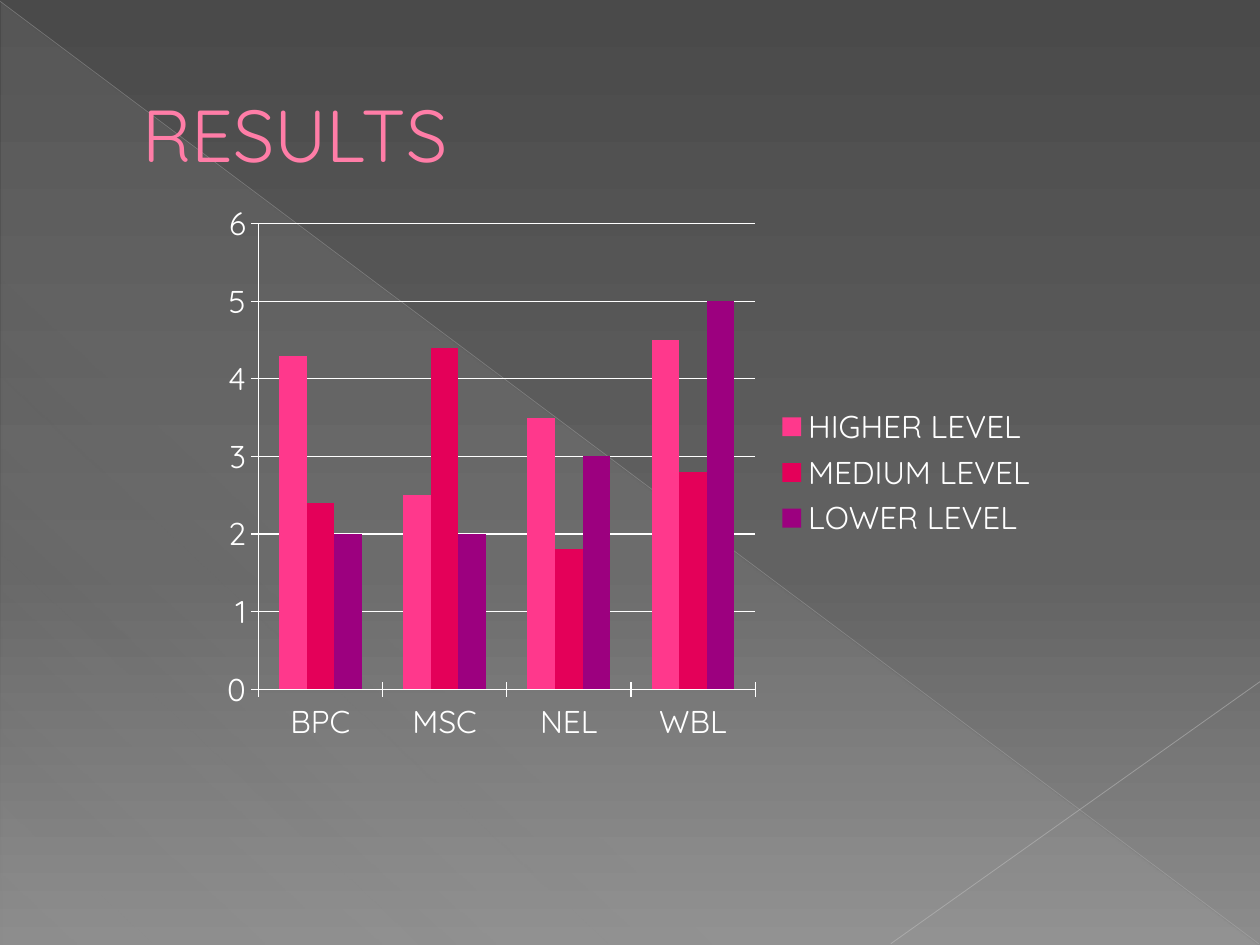
from lxml import etree
from pptx import Presentation
from pptx.chart.data import CategoryChartData
from pptx.dml.color import RGBColor
from pptx.enum.chart import XL_CHART_TYPE, XL_LEGEND_POSITION, XL_TICK_MARK
from pptx.enum.shapes import MSO_CONNECTOR, MSO_SHAPE
from pptx.enum.text import MSO_ANCHOR
from pptx.oxml import parse_xml
from pptx.oxml.ns import qn
from pptx.util import Inches, Pt

COLUMNS = XL_CHART_TYPE.COLUMN_CLUSTERED
RIGHT = XL_LEGEND_POSITION.RIGHT
CROSS = XL_TICK_MARK.CROSS
STRAIGHT = MSO_CONNECTOR.STRAIGHT
TRIANGLE = MSO_SHAPE.RIGHT_TRIANGLE
MIDDLE = MSO_ANCHOR.MIDDLE
A_NS = "http://schemas.openxmlformats.org/drawingml/2006/main"

FONT = "Quicksand"
COLORS = {
    "title": "FF7DA7", "title_outline": "B12761", "text": "FFFFFF",
    "higher": "FF388C", "medium": "E40059", "lower": "9C007F",
    "diagonal": "BFBFBF", "corner": "C6C6C6",
}
BACKGROUND = [(0, "4A4A4A", 100), (60, "626262", 100), (100, "8C8C8C", 100)]
SHEEN = [(0, "D2D2D2", 10), (70, "D2D2D2", 8), (100, "D2D2D2", 1)]
LINES = [
    ((0, 0.01), (9.99, 7.49), "diagonal", 0.39, 35),
    ((10, 5.41), (7.07, 7.49), "corner", 0.47, 45),
]
TITLE = "RESULTS"
CATEGORIES = ["BPC", "MSC", "NEL", "WBL"]
SERIES = [
    ("HIGHER LEVEL", "higher", (4.3, 2.5, 3.5, 4.5)),
    ("MEDIUM LEVEL", "medium", (2.4, 4.4, 1.8, 2.8)),
    ("LOWER LEVEL", "lower", (2, 2, 3, 5)),
]


def rgb(name):
    return RGBColor.from_string(COLORS[name])


def set_gradient(fill, parent, stops, angle):
    fill.gradient()
    gs = "".join(
        f'<a:gs pos="{pos * 1000}"><a:srgbClr val="{color}">'
        f'<a:alpha val="{opacity * 1000}"/></a:srgbClr></a:gs>'
        for pos, color, opacity in stops
    )
    old = parent.find(qn("a:gradFill"))
    parent.replace(old, parse_xml(
        f'<a:gradFill xmlns:a="{A_NS}" rotWithShape="1"><a:gsLst>{gs}</a:gsLst>'
        f'<a:lin ang="{angle * 60000}" scaled="0"/></a:gradFill>'
    ))


def add_line(s, start, end, color, width, opacity):
    line = s.shapes.add_connector(STRAIGHT, *map(Inches, start + end))
    line.line.color.rgb = rgb(color)
    line.line.width = Pt(width)
    sp_pr = line._element.spPr
    clr = next(sp_pr.iter(qn("a:srgbClr")))
    etree.SubElement(clr, qn("a:alpha")).set("val", str(opacity * 1000))
    etree.SubElement(sp_pr, qn("a:effectLst"))


def add_title(s):
    box = s.shapes.add_textbox(Inches(0.5), Inches(0.29), Inches(9), Inches(1.53))
    tf = box.text_frame
    tf.word_wrap = True
    tf.vertical_anchor = MIDDLE
    p = tf.paragraphs[0]
    p._p.get_or_add_pPr().set("marL", str(Inches(0.53)))
    r = p.add_run()
    r.text = TITLE
    r.font.name = FONT
    r.font.size = Pt(42)
    r.font.color.rgb = rgb("title")
    r._r.get_or_add_rPr().insert(0, parse_xml(
        f'<a:ln xmlns:a="{A_NS}" w="{Pt(0.5)}"><a:solidFill>'
        f'<a:srgbClr val="{COLORS["title_outline"]}"/></a:solidFill></a:ln>'
    ))


def add_results_chart(s):
    data = CategoryChartData()
    data.categories = CATEGORIES
    for name, _, values in SERIES:
        data.add_series(name, values)
    chart = s.shapes.add_chart(
        COLUMNS, Inches(1.67), Inches(1.53), Inches(6.67), Inches(4.44), data
    ).chart
    chart.has_title = False
    chart.font.name = FONT
    chart.font.size = Pt(18)
    chart.font.color.rgb = rgb("text")
    chart.has_legend = True
    chart.legend.position = RIGHT
    chart.legend.include_in_layout = False

    plot = chart.plots[0]
    plot.vary_by_categories = False
    plot.gap_width = 150
    for series, (_, color, _) in zip(plot.series, SERIES):
        series.format.fill.solid()
        series.format.fill.fore_color.rgb = rgb(color)

    value_axis = chart.value_axis
    value_axis.has_major_gridlines = True
    for axis in (chart.category_axis, value_axis):
        axis.major_tick_mark = CROSS
    for part in (chart.category_axis, value_axis, value_axis.major_gridlines):
        part.format.line.color.rgb = rgb("text")
        part.format.line.width = Pt(0.75)


def main():
    prs = Presentation()
    prs.slide_width, prs.slide_height = Inches(10), Inches(7.5)
    s = prs.slides.add_slide(prs.slide_layouts[6])
    fill = s.background.fill
    set_gradient(fill, s._element.cSld.find(qn("p:bg")).find(qn("p:bgPr")), BACKGROUND, 90)

    sheen = s.shapes.add_shape(TRIANGLE, Inches(0.01), Inches(0.02), Inches(9.98), Inches(7.48))
    sheen.shadow.inherit = False
    sheen.line.fill.background()
    set_gradient(sheen.fill, sheen._element.spPr, SHEEN, 133)

    for line in LINES:
        add_line(s, *line)
    add_title(s)
    add_results_chart(s)
    prs.save("out.pptx")


if __name__ == "__main__":
    main()
